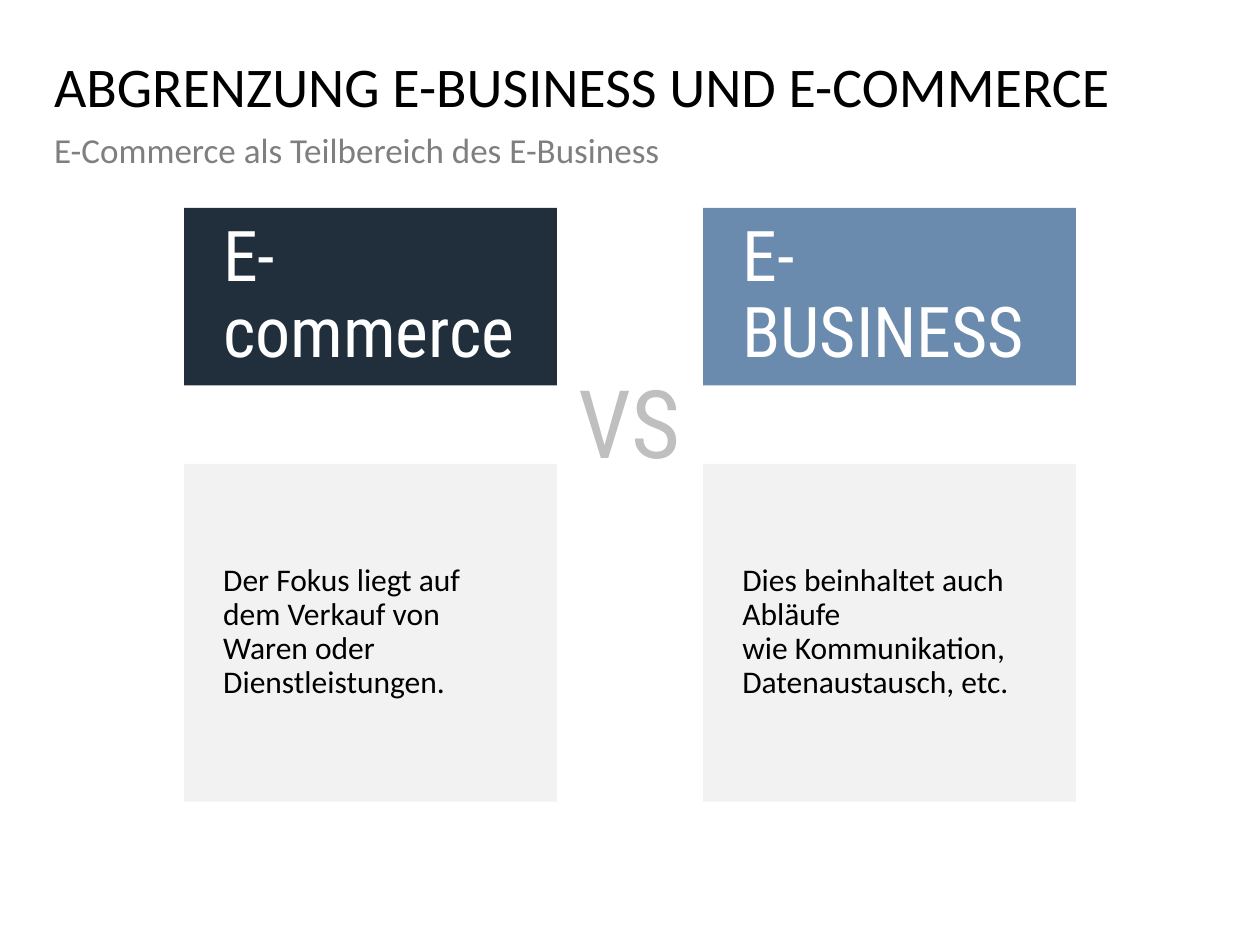
from dataclasses import dataclass

from pptx import Presentation
from pptx.dml.color import RGBColor
from pptx.enum.shapes import MSO_SHAPE
from pptx.enum.text import MSO_ANCHOR, PP_ALIGN
from pptx.util import Cm, Pt


@dataclass(frozen=True)
class Theme:
    sans: str = "Calibri"
    slim: str = "Roboto Condensed"
    black: str = "000000"
    white: str = "FFFFFF"
    grey: str = "7F7F7F"
    mid: str = "BFBFBF"
    pale: str = "F2F2F2"
    navy: str = "212E3C"
    blue: str = "6A8BAD"
    title: int = 32
    sub: int = 20
    head: int = 40
    body: int = 18
    versus: int = 54


THEME = Theme()


def write(shape, text, face, size, color, inset, **form):
    """Fill a shape with one paragraph; form holds paragraph formats."""
    frame = shape.text_frame
    frame.word_wrap = True
    for side, gap in zip(("left", "top", "right", "bottom"), inset):
        setattr(frame, f"margin_{side}", Cm(gap))
    para = frame.paragraphs[0]
    para.text = text
    for name, value in form.items():
        setattr(para, name, value)
    for run in para.runs:
        for name, value in {"name": face, "size": Pt(size)}.items():
            setattr(run.font, name, value)
        run.font.color.rgb = RGBColor.from_string(color)
    return frame


def label(slide, box, *args, **form):
    shape = slide.shapes.add_textbox(*map(Cm, box))
    return write(shape, *args, **form)


def panel(slide, box, fill, *args, **form):
    shape = slide.shapes.add_shape(MSO_SHAPE.RECTANGLE, *map(Cm, box))
    shape.shadow.inherit = False
    shape.fill.solid()
    shape.fill.fore_color.rgb = RGBColor.from_string(fill)
    shape.line.fill.background()
    frame = write(shape, *args, alignment=PP_ALIGN.LEFT, line_spacing=0.9, **form)
    frame.vertical_anchor = MSO_ANCHOR.MIDDLE


def header(slide, box, title, sub):
    left, top, width, height = box
    drop = 1.5
    flush = (0, 0, 0, 0)
    label(slide, box, title, THEME.sans, THEME.title, THEME.black, flush,
          line_spacing=0.9)
    label(slide, (left, top + drop, width, height - drop), sub, THEME.sans,
          THEME.sub, THEME.grey, flush, line_spacing=0.9, space_after=Pt(10))


def column(slide, box, fill, head, body):
    left, top, width, height = box
    tall, low = 3.58, 6.81
    panel(slide, (left, top, width, tall), fill, head, THEME.slim,
          THEME.head, THEME.white, (0.79, 0.2, 0.79, 0.2))
    panel(slide, (left, top + height - low, width, low), THEME.pale, body,
          THEME.sans, THEME.body, THEME.black, (0.79, 0.2, 0.71, 0.2),
          space_after=Pt(10))


def compare(slide, box, sides):
    """Two columns with VS in the gap between them."""
    left, top, width, height = box
    gap = 2.95
    wide = (width - gap) / 2
    label(slide, (left + wide, top + 3.02, gap, 2.57), "VS", THEME.slim,
          THEME.versus, THEME.mid, (0.25, 0.13, 0.25, 0.13),
          alignment=PP_ALIGN.CENTER)
    for i, side in enumerate(sides):
        column(slide, (left + i * (wide + gap), top, wide, height), *side)


def main():
    deck = Presentation()
    deck.slide_width, deck.slide_height = Cm(25.4), Cm(19.05)
    slide = deck.slides.add_slide(deck.slide_layouts[6])
    header(slide, (1.09, 1.19, 23.19, 3),
           "ABGRENZUNG E-BUSINESS UND E-COMMERCE",
           "E-Commerce als Teilbereich des E-Business")
    compare(slide, (3.71, 4.19, 17.98, 11.97), (
        (THEME.navy, "E-commerce",
         "Der Fokus liegt auf dem Verkauf von Waren oder Dienstleistungen."),
        (THEME.blue, "E-BUSINESS",
         "Dies beinhaltet auch Abläufe \nwie Kommunikation, Datenaustausch, etc."),
    ))
    deck.save("out.pptx")


if __name__ == "__main__":
    main()
